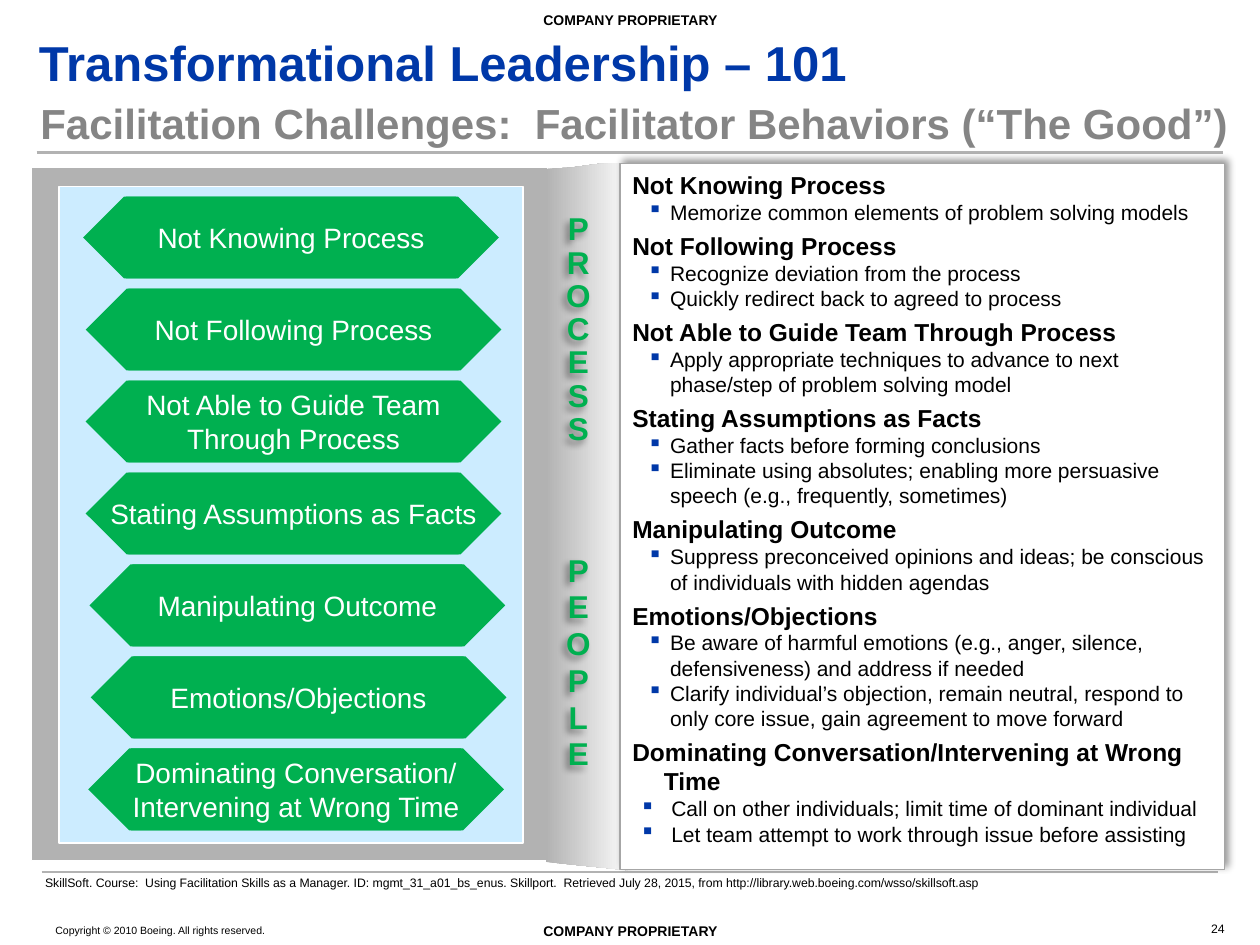
"""Build the facilitation challenges slide."""
from lxml import etree
from pptx import Presentation
from pptx.dml.color import RGBColor
from pptx.enum.shapes import MSO_CONNECTOR, MSO_SHAPE
from pptx.enum.text import MSO_ANCHOR, MSO_AUTO_SIZE, PP_ALIGN
from pptx.oxml.ns import qn
from pptx.util import Emu, Inches, Pt

RECT, PENTAGON = MSO_SHAPE.RECTANGLE, MSO_SHAPE.PENTAGON
LEFT, CENTER, RIGHT = PP_ALIGN.LEFT, PP_ALIGN.CENTER, PP_ALIGN.RIGHT
TOP, MIDDLE = MSO_ANCHOR.TOP, MSO_ANCHOR.MIDDLE
NO_AUTOFIT, STRAIGHT = MSO_AUTO_SIZE.NONE, MSO_CONNECTOR.STRAIGHT

BLACK = RGBColor(0, 0, 0)
WHITE = RGBColor(255, 255, 255)
BLUE = RGBColor(0x00, 0x38, 0xA8)
PALE_BLUE = RGBColor(0xCC, 0xEC, 0xFF)
GREEN = RGBColor(0x00, 0xB0, 0x50)
GRAY = RGBColor(0xB2, 0xB2, 0xB2)
TITLE_GRAY = RGBColor(0x85, 0x85, 0x85)
EDGE_GRAY = RGBColor(0xA6, 0xA6, 0xA6)

COURSE = "Transformational Leadership – 101"
TITLE = "Facilitation Challenges:  Facilitator Behaviors (“The Good”)"
MARKING = "COMPANY PROPRIETARY"
COPYRIGHT = "Copyright © 2010 Boeing. All rights reserved."
SOURCE = ("SkillSoft. Course:  Using Facilitation Skills as a Manager. "
          "ID: mgmt_31_a01_bs_enus. Skillport.  Retrieved July 28, 2015, "
          "from http://library.web.boeing.com/wsso/skillsoft.asp")
PAGE = "24"

ARROWS = [
    ("Not Knowing Process", 0.66),
    ("Not Following Process", 0.68),
    ("Not Able to Guide Team Through Process", 0.68),
    ("Stating Assumptions as Facts", 0.68),
    ("Manipulating Outcome", 0.71),
    ("Emotions/Objections", 0.72),
    ("Dominating Conversation/ Intervening at Wrong Time", 0.70),
]
ARROW_TOP, ARROW_PITCH, ARROW_W, ARROW_H = 1.56, 0.73, 2.96, 0.65
ARROW_SHIFT, LABEL_W = 0.34, 3.17

INDENT, WIDE_INDENT = (0.3, -0.18), (0.31, -0.25)
BEHAVIORS = [
    ("Not Knowing Process", INDENT,
     ["Memorize common elements of problem solving models"]),
    ("Not Following Process", INDENT,
     ["Recognize deviation from the process",
      "Quickly redirect back to agreed to process"]),
    ("Not Able to Guide Team Through Process", INDENT,
     ["Apply appropriate techniques to advance to next phase/step of "
      "problem solving model"]),
    ("Stating Assumptions as Facts", INDENT,
     ["Gather facts before forming conclusions",
      "Eliminate using absolutes; enabling more persuasive speech "
      "(e.g., frequently, sometimes)"]),
    ("Manipulating Outcome", INDENT,
     ["Suppress preconceived opinions and ideas; be conscious of "
      "individuals with hidden agendas"]),
    ("Emotions/Objections", INDENT,
     ["Be aware of harmful emotions (e.g., anger, silence, defensiveness) "
      "and address if needed",
      "Clarify individual’s objection, remain neutral, respond to only core "
      "issue, gain agreement to move forward"]),
    ("Dominating Conversation/Intervening at Wrong Time", WIDE_INDENT,
     ["Call on other individuals; limit time of dominant individual",
      "Let team attempt to work through issue before assisting"]),
]
SIDE_WORDS = [("PROCESS", 1.65, 1.97, 19), ("PEOPLE", 4.33, 1.87, 21)]
FOLD = [(4.33, 1.34), (4.53, 1.33), (4.75, 1.3), (4.92, 1.29),
        (5.02, 6.91), (4.33, 6.84)]


def box(*lengths):
    return [Inches(n) for n in lengths]


def style(p, text, size, color, bold=False, align=LEFT):
    p.text = text
    p.alignment = align
    for name, value in {"name": "Arial", "size": Pt(size), "bold": bold}.items():
        setattr(p.runs[0].font, name, value)
    p.runs[0].font.color.rgb = color


def frame(sp, inset=(0.1, 0.05, 0.1, 0.05), anchor=TOP, wrap=True):
    tf = sp.text_frame
    values = {"word_wrap": wrap, "auto_size": NO_AUTOFIT, "vertical_anchor": anchor}
    values.update(zip(("margin_left", "margin_top", "margin_right",
                       "margin_bottom"), box(*inset)))
    for name, value in values.items():
        setattr(tf, name, value)
    return tf


def label(s, at, text, size, color=BLACK, bold=False, align=LEFT, **layout):
    tf = frame(s.shapes.add_textbox(*box(*at)), **layout)
    style(tf.paragraphs[0], text, size, color, bold, align)


def shape(s, kind, at, fill, line=None, width=1):
    sp = s.shapes.add_shape(kind, *box(*at))
    sp.shadow.inherit = False
    sp.fill.solid()
    sp.fill.fore_color.rgb = fill
    if line is None:
        sp.line.fill.background()
    else:
        sp.line.color.rgb = line
        sp.line.width = Pt(width)
    return sp


def rule(s, x1, x2, y, width):
    cx = s.shapes.add_connector(STRAIGHT, *box(x1, y, x2, y))
    cx.line.color.rgb = GRAY
    cx.line.width = Pt(width)
    etree.SubElement(cx._element.spPr, qn("a:effectLst"))


def cast_shadow(sp, angle):
    sp.shadow.inherit = False
    effects = sp._element.spPr.find(qn("a:effectLst"))
    shadow = etree.SubElement(effects, qn("a:outerShdw"), blurRad=str(Pt(4)),
                              dist=str(Pt(3)), dir=str(angle * 60000),
                              algn="ctr", rotWithShape="0")
    color = etree.SubElement(shadow, qn("a:srgbClr"), val=str(BLACK))
    etree.SubElement(color, qn("a:alpha"), val="40000")


def indent(p, margin, hang, bullet=False):
    pPr = p._p.get_or_add_pPr()
    pPr.set("marL", str(Inches(margin)))
    pPr.set("indent", str(Inches(hang)))
    if bullet:
        color = etree.SubElement(pPr, qn("a:buClr"))
        etree.SubElement(color, qn("a:srgbClr"), val=str(BLUE))
        etree.SubElement(pPr, qn("a:buChar"), char="▪")


def add_arrows(s):
    for i, (text, x) in enumerate(ARROWS):
        y = ARROW_TOP + i * ARROW_PITCH
        shape(s, PENTAGON, (x + ARROW_SHIFT, y, ARROW_W, ARROW_H), GREEN)
        shape(s, PENTAGON, (x, y, ARROW_W, ARROW_H), GREEN).rotation = 180
        left = x + (ARROW_W + ARROW_SHIFT - LABEL_W) / 2
        label(s, (left, y, LABEL_W, ARROW_H), text, 16, WHITE,
              align=CENTER, anchor=MIDDLE)


def add_fold(s):
    points = [tuple(box(*point)) for point in FOLD]
    builder = s.shapes.build_freeform(*points[0], scale=1.0)
    builder.add_line_segments(points[1:], close=True)
    sp = builder.convert_to_shape(Emu(0), Emu(0))
    sp.shadow.inherit = False
    sp.line.fill.background()
    sp.fill.gradient()
    sp.fill.gradient_angle = 0
    for stop, color in zip(sp.fill.gradient_stops, (GRAY, WHITE)):
        stop.color.rgb = color


def add_behaviors(s):
    sp = shape(s, RECT, (4.92, 1.3, 4.8, 5.6), WHITE, EDGE_GRAY, 0.75)
    cast_shadow(sp, 315)
    tf = frame(sp)
    for i, (heading, bullet_indent, bullets) in enumerate(BEHAVIORS):
        p = tf.add_paragraph() if i else tf.paragraphs[0]
        indent(p, 0.25, -0.25)
        style(p, heading, 14, BLACK, True)
        if i:
            p.space_before = Pt(3.6)
        for text in bullets:
            p = tf.add_paragraph()
            indent(p, *bullet_indent, bullet=True)
            style(p, text, 12, BLACK)


def add_side_words(s):
    for word, y, height, spacing in SIDE_WORDS:
        sp = s.shapes.add_textbox(*box(4.39, y, 0.4, height))
        tf = frame(sp, wrap=False)
        cast_shadow(sp, 135)
        for i, letter in enumerate(word):
            p = tf.add_paragraph() if i else tf.paragraphs[0]
            style(p, letter, 18, GREEN, True, CENTER)
            p.line_spacing = Pt(spacing)


def main():
    prs = Presentation()
    prs.slide_width, prs.slide_height = box(10, 7.5)
    s = prs.slides.add_slide(prs.slide_layouts[5])
    thin = (0.01,) * 4

    title = s.shapes.title
    title.left, title.top, title.width, title.height = box(0, 0.81, 10, 0.49)
    p = frame(title, (0.32, 0.01, 0.01, 0.01)).paragraphs[0]
    style(p, TITLE, 24, TITLE_GRAY, True)
    p.line_spacing = 0.9

    label(s, (0, 0.25, 10, 0.48), COURSE, 28, BLUE, True,
          inset=(0.31, 0, 0, 0), anchor=MIDDLE)
    for y in (0.08, 7.31):
        label(s, (4.35, y, 1.31, 0.15), MARKING, 8, bold=True, align=CENTER,
              inset=thin, wrap=False)
    label(s, (0.43, 7.32, 2.93, 0.12), COPYRIGHT, 6, inset=thin)
    label(s, (6.99, 7.25, 2.74, 0.24), PAGE, 7, align=RIGHT, inset=thin,
          anchor=MIDDLE)
    rule(s, 0.29, 9.71, 1.21, 2)
    rule(s, 0.33, 9.67, 6.92, 1.5)

    shape(s, RECT, (0.25, 1.33, 4.1, 5.5), GRAY, WHITE)
    shape(s, RECT, (0.47, 1.48, 3.68, 5.21), PALE_BLUE, WHITE)
    add_arrows(s)
    add_fold(s)
    add_behaviors(s)
    label(s, (0.26, 6.9, 9.74, 0.22), SOURCE, 7)
    add_side_words(s)
    prs.save("out.pptx")


if __name__ == "__main__":
    main()
